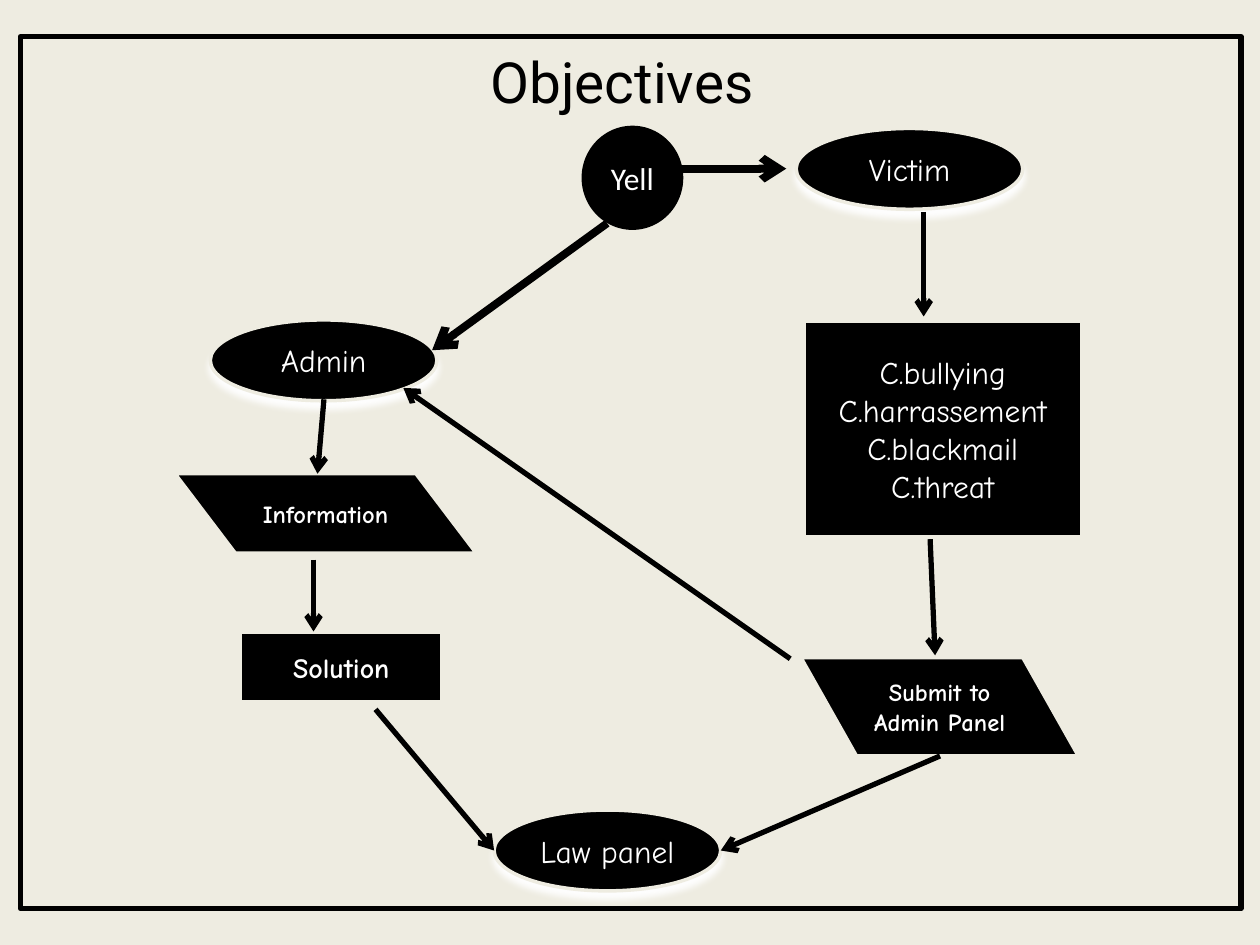
import pptx
import pptx.dml.color
import pptx.enum.shapes
import pptx.enum.text
import pptx.oxml
import pptx.oxml.ns
import pptx.util
from pptx.util import Cm

SHAPES = pptx.enum.shapes.MSO_SHAPE
BLACK, WHITE, CREAM = "000000", "FFFFFF", "EEECE1"
HAND_FONT = "Comic Neue"
OVAL_SIZE = (4.57, 1.63)
NS = pptx.oxml.ns.nsdecls("a")


def color(hex_value):
    return pptx.dml.color.RGBColor.from_string(hex_value)


def style_text(frame, size, font, hex_value, bold=False):
    for paragraph in frame.paragraphs:
        paragraph.alignment = pptx.enum.text.PP_ALIGN.CENTER
        paragraph.font.size = pptx.util.Pt(size)
        paragraph.font.name = font
        paragraph.font.bold = bold
        paragraph.font.color.rgb = color(hex_value)


def add_node(slide, kind, left, top, size, text, points=18, bold=False,
             font=HAND_FONT, outline=CREAM):
    node = slide.shapes.add_shape(kind, Cm(left), Cm(top), *map(Cm, size))
    node.shadow.inherit = False
    node.fill.solid()
    node.fill.fore_color.rgb = color(BLACK)
    node.line.color.rgb = color(outline)
    node.line.width = pptx.util.Pt(2)
    node.text_frame.text = text
    node.text_frame.vertical_anchor = pptx.enum.text.MSO_ANCHOR.MIDDLE
    style_text(node.text_frame, points, font, WHITE, bold)
    return node


def add_oval(slide, left, top, text):
    oval = add_node(slide, SHAPES.OVAL, left, top, OVAL_SIZE, text)
    # White glow below the oval
    effects = oval._element.spPr.find(pptx.oxml.ns.qn("a:effectLst"))
    effects.append(pptx.oxml.parse_xml(
        f'<a:outerShdw {NS} blurRad="50800" dist="50800" dir="5400000" '
        f'rotWithShape="0"><a:srgbClr val="{WHITE}"/></a:outerShdw>'))


def add_slanted(slide, left, top, size, text):
    slanted = add_node(slide, SHAPES.FLOWCHART_DATA, left, top, size, text, 14, True)
    slanted._element.spPr.find(pptx.oxml.ns.qn("a:xfrm")).set("flipH", "1")


def add_arrow(slide, x1, y1, x2, y2, width=3):
    arrow = slide.shapes.add_connector(
        pptx.enum.shapes.MSO_CONNECTOR.STRAIGHT, *map(Cm, (x1, y1, x2, y2)))
    arrow.line.color.rgb = color(BLACK)
    arrow.line.width = pptx.util.Pt(width)
    arrow.line._get_or_add_ln().append(
        pptx.oxml.parse_xml(f'<a:tailEnd {NS} type="arrow"/>'))
    arrow._element.spPr.append(pptx.oxml.parse_xml(f"<a:effectLst {NS}/>"))


def add_heading(slide, left, top, width, height):
    heading = slide.shapes.title
    heading.left, heading.top = Cm(left), Cm(top)
    heading.width, heading.height = Cm(width), Cm(height)
    heading.text_frame.text = "Objectives"
    heading.text_frame.vertical_anchor = pptx.enum.text.MSO_ANCHOR.TOP
    style_text(heading.text_frame, 32.4, "Roboto", BLACK)


def add_frame(slide, left, top, width, height):
    frame = slide.shapes.add_shape(
        SHAPES.RECTANGLE, *map(Cm, (left, top, width, height)))
    frame.shadow.inherit = False
    frame.fill.background()
    frame.line.color.rgb = color(BLACK)
    frame.line.width = pptx.util.Pt(3)


def add_start(slide, left, top):
    add_arrow(slide, left + 0.48, top + 1.93, left - 3.05, top + 4.49, 4.5)
    add_arrow(slide, left + 1.83, top + 0.83, left + 4.09, top + 0.83, 4.5)
    add_node(slide, SHAPES.OVAL, left, top, (1.98, 2.03), "Yell",
             font="Calibri", outline=BLACK)


def add_victim_branch(slide, left, top):
    add_oval(slide, left, top, "Victim")
    add_node(slide, SHAPES.RECTANGLE, left + 0.16, top + 3.89, (5.59, 4.34),
             "C.bullying\nC.harrassement\nC.blackmail\nC.threat")
    add_slanted(slide, left + 0.1, top + 10.67, (5.59, 1.98), "Submit to Admin Panel")
    add_arrow(slide, left + 2.57, top + 1.68, left + 2.57, top + 3.79)
    add_arrow(slide, left + 2.7, top + 8.28, left + 2.8, top + 10.62)


def add_admin_branch(slide, left, top):
    add_oval(slide, left + 0.71, top, "Admin")
    add_slanted(slide, left, top + 3.1, (6.07, 1.6), "Information")
    add_node(slide, SHAPES.RECTANGLE, left + 1.32, top + 6.3, (4.06, 1.4),
             "Solution", 16, True)
    add_arrow(slide, left + 3, top + 1.6, left + 2.87, top + 3.1)
    add_arrow(slide, left + 2.79, top + 4.83, left + 2.79, top + 6.28)


def add_law_panel(slide, left, top):
    add_oval(slide, left, top, "Law panel")
    side = top + OVAL_SIZE[1] / 2
    add_arrow(slide, left - 2.39, top - 2.03, left, side)
    add_arrow(slide, left + 8.99, top - 1.09, left + OVAL_SIZE[0], side)


deck = pptx.Presentation()
deck.slide_width, deck.slide_height = Cm(25.4), Cm(19.05)
objectives = deck.slides.add_slide(deck.slide_layouts[5])
objectives.background.fill.solid()
objectives.background.fill.fore_color.rgb = color(CREAM)

add_heading(objectives, 1.02, 0.81, 23.04, 3.07)
add_frame(objectives, 0.41, 0.74, 24.61, 17.58)
add_victim_branch(objectives, 16.05, 2.59)
add_admin_branch(objectives, 3.53, 6.45)
add_law_panel(objectives, 9.96, 16.33)
# Submission goes back to the admin
add_arrow(objectives, 15.93, 13.28, 8.13, 7.82)
add_start(objectives, 11.76, 2.57)

deck.save("out.pptx")
